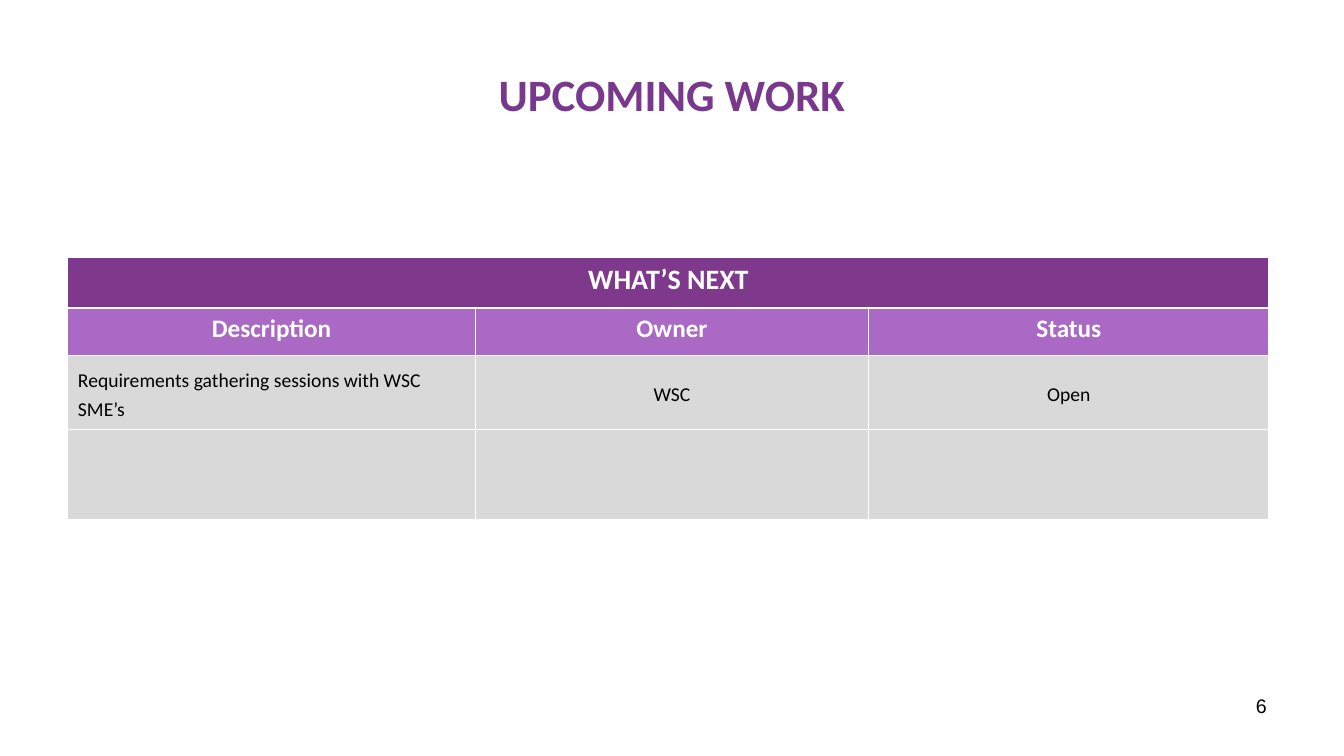
from lxml.etree import SubElement
from pptx import Presentation
from pptx.dml.color import RGBColor
from pptx.enum.text import MSO_ANCHOR, PP_ALIGN
from pptx.oxml.ns import qn
from pptx.util import Pt

COLORS = {
    "title": "78398D",
    "banner": "7F398C",
    "heading": "A969C4",
    "body": "D9D9D9",
    "white": "FFFFFF",
    "black": "000000",
}


class SlideBuilder:
    """Hold the style and the current slide, and add each kind of element."""

    def __init__(self, slide, font="Calibri"):
        self.slide = slide
        self.font = font

    def fill_frame(self, frame, text, size, color, bold=False,
                   align=PP_ALIGN.CENTER, spacing=None, font=None):
        frame.text = text
        paragraph = frame.paragraphs[0]
        paragraph.alignment = align
        if spacing:
            paragraph.line_spacing = spacing
        for run in paragraph.runs:
            run.font.name = font or self.font
            run.font.size = Pt(size)
            run.font.bold = bold
            run.font.color.rgb = RGBColor.from_string(COLORS[color])

    def text(self, left, top, width, height, text, size, color,
             anchor=MSO_ANCHOR.TOP, **style):
        box = self.slide.shapes.add_textbox(Pt(left), Pt(top), Pt(width), Pt(height))
        box.text_frame.word_wrap = True
        box.text_frame.vertical_anchor = anchor
        self.fill_frame(box.text_frame, text, size, color, **style)

    def table(self, left, top, widths, heights):
        grid = self.slide.shapes.add_table(
            len(heights), len(widths), Pt(left), Pt(top),
            Pt(sum(widths)), Pt(sum(heights))).table
        for column, width in zip(grid.columns, widths):
            column.width = Pt(width)
        for row, height in zip(grid.rows, heights):
            row.height = Pt(height)
        return grid

    def cell(self, cell, text, fill, size, color, anchor=MSO_ANCHOR.TOP, **style):
        self.fill_frame(cell.text_frame, text, size, color, **style)
        cell.vertical_anchor = anchor
        properties = cell._tc.get_or_add_tcPr()
        for side in ("a:lnL", "a:lnR", "a:lnT", "a:lnB"):
            border = SubElement(properties, qn(side), w=str(Pt(1)))
            paint = SubElement(border, qn("a:solidFill"))
            SubElement(paint, qn("a:srgbClr"), val=COLORS["white"])
        cell.fill.solid()
        cell.fill.fore_color.rgb = RGBColor.from_string(COLORS[fill])


def main():
    deck = Presentation()
    deck.slide_width, deck.slide_height = Pt(960), Pt(540)
    builder = SlideBuilder(deck.slides.add_slide(deck.slide_layouts[6]))

    builder.text(48, 21.6, 864, 90, "UPCOMING WORK", 32, "title",
                 anchor=MSO_ANCHOR.MIDDLE, bold=True)
    builder.text(688, 492, 224, 37, "6", 14, "black",
                 align=PP_ALIGN.RIGHT, font="Arial")

    work = builder.table(48.5, 184, (291, 281, 286), (36, 34, 53, 64))
    work.cell(0, 0).merge(work.cell(0, 2))
    banner = dict(fill="banner", size=20, color="white", bold=True)
    heading = dict(banner, fill="heading", size=18)
    body = dict(fill="body", size=14, color="black",
                anchor=MSO_ANCHOR.MIDDLE, spacing=1.2)
    rows = (
        (("WHAT’S NEXT", "", ""), banner),
        (("Description", "Owner", "Status"), heading),
        (("Requirements gathering sessions with WSC SME’s", "WSC", "Open"), body),
        (("", "", ""), body),
    )
    for row, (entries, style) in enumerate(rows):
        for column, entry in enumerate(entries):
            builder.cell(work.cell(row, column), entry, **style)
    work.cell(2, 0).text_frame.paragraphs[0].alignment = PP_ALIGN.LEFT

    deck.save("out.pptx")


if __name__ == "__main__":
    main()
